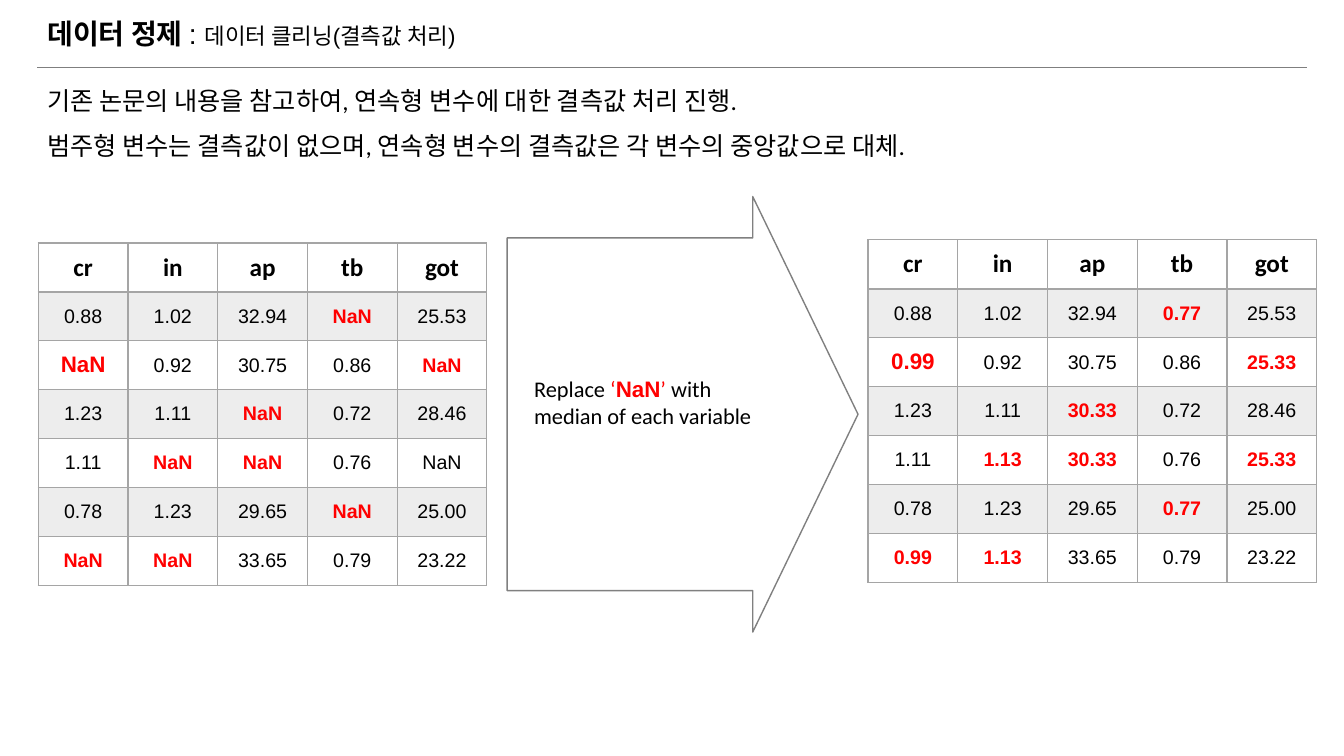
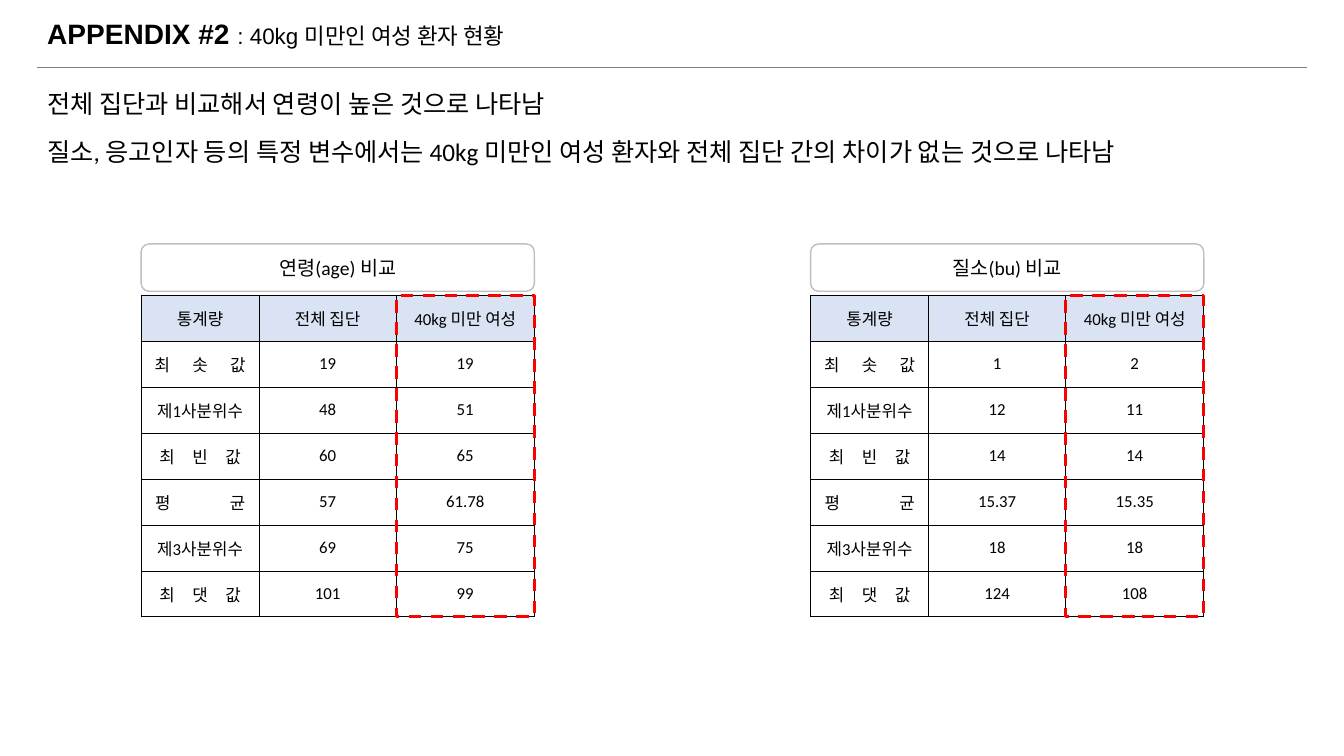
import pptx
import pptx.dml.color
import pptx.enum.dml
import pptx.enum.shapes
import pptx.enum.text
import pptx.oxml.ns
import pptx.util
from lxml import etree
from pptx.util import Inches

COLORS = {"ink": "000000", "rule": "7F7F7F", "grid": "A5A5A5", "band": "EDEDED",
          "alert": "FF0000", "arrow": "808080", "caption": "BFBFBF", "header": "DAE3F3"}
SHAPES = pptx.enum.shapes.MSO_SHAPE
CENTER = pptx.enum.text.PP_ALIGN.CENTER
MIDDLE = pptx.enum.text.MSO_ANCHOR.MIDDLE
LEFT, WIDTH = 0.37, 12.59
SPACE_WIDTH = 3.3  # points taken by one space in a 12 pt label


def color(name):
    return pptx.dml.color.RGBColor.from_string(COLORS[name])


class Composer:
    """Holds the deck's style and the slide being filled."""

    def __init__(self):
        self.deck = pptx.Presentation()
        self.deck.slide_width, self.deck.slide_height = Inches(13.33), Inches(7.5)
        self.page = None

    def style(self, span, size, font="Calibri", ink="ink", bold=False):
        span.font.size = pptx.util.Pt(size)
        span.font.name = font
        span.font.bold = bold
        span.font.color.rgb = color(ink)

    def spans(self, para, parts):
        """Each part is a text and its style; a lone newline breaks the line."""
        for text, look in parts:
            if text == "\n":
                para.add_line_break()
                continue
            span = para.add_run()
            span.text = text
            self.style(span, **look)

    def text_box(self, left, top, width, height):
        box = self.page.shapes.add_textbox(*map(Inches, (left, top, width, height)))
        box.text_frame.word_wrap = True
        return box.text_frame

    def new_page(self, title, lines, line_spacing=1.0):
        """Start a slide with its title, rule and introductory lines."""
        self.page = self.deck.slides.add_slide(self.deck.slide_layouts[6])
        rule = self.page.shapes.add_connector(
            pptx.enum.shapes.MSO_CONNECTOR.STRAIGHT,
            *map(Inches, (LEFT, 0.67, LEFT + WIDTH, 0.67)))
        rule.line.color.rgb = color("rule")
        rule.line.width = pptx.util.Pt(0.75)
        etree.SubElement(rule._element.spPr, pptx.oxml.ns.qn("a:effectLst"))

        frame = self.text_box(LEFT, 0.1, WIDTH, 0.5)
        frame.vertical_anchor = MIDDLE
        frame.paragraphs[0].line_spacing = 0.9
        self.spans(frame.paragraphs[0], title)

        frame = self.text_box(LEFT, 0.8, WIDTH, 1.01)
        frame.text = "\n".join(lines)
        for para in frame.paragraphs:
            para.space_before = pptx.util.Pt(10)
            para.line_spacing = line_spacing
            self.style(para.runs[0], 18)

    def outline(self, kind, left, top, width, height, line, points=1, dash=None):
        """Add an unfilled preset shape."""
        shape = self.page.shapes.add_shape(kind, *map(Inches, (left, top, width, height)))
        shape.shadow.inherit = False
        shape.fill.background()
        shape.line.color.rgb = color(line)
        shape.line.width = pptx.util.Pt(points)
        shape.line.dash_style = dash
        return shape

    def border(self, cell, side, line, points):
        props = cell._tc.get_or_add_tcPr()
        edge = etree.SubElement(props, pptx.oxml.ns.qn("a:ln" + side),
                                w=str(int(points * 12700)))
        fill = etree.SubElement(edge, pptx.oxml.ns.qn("a:solidFill"))
        etree.SubElement(fill, pptx.oxml.ns.qn("a:srgbClr"), val=COLORS[line])

    def table(self, left, top, height, widths, rows, line, points, fill, write,
              header_edge=None):
        """fill(row) names a colour or None; write(cell, row, column, text) sets text."""
        table = self.page.shapes.add_table(
            len(rows), len(widths),
            *map(Inches, (left, top, sum(widths), height))).table
        table.first_row = table.horz_banding = False
        for column, width in zip(table.columns, widths):
            column.width = Inches(width)
        for r, texts in enumerate(rows):
            table.rows[r].height = Inches(height / len(rows))
            for c, text in enumerate(texts):
                cell = table.cell(r, c)
                cell.vertical_anchor = MIDDLE
                for side in "LRTB":
                    heavy = header_edge and r == 0 and side == "B"
                    self.border(cell, side, line, header_edge if heavy else points)
                if fill(r):
                    cell.fill.solid()
                    cell.fill.fore_color.rgb = color(fill(r))
                else:
                    cell.fill.background()
                write(cell, r, c, text)
                cell.text_frame.paragraphs[0].alignment = CENTER

    def sample_table(self, left, top, rows, marked):
        """Patient values; marked cells are bold red."""
        def write(cell, r, c, text):
            cell.text = text
            span = cell.text_frame.paragraphs[0].runs[0]
            if r == 0:
                self.style(span, 18, bold=True)
            elif (r, c) in marked:
                self.style(span, 16 if (r, c) == (2, 0) else 14, "Arial", "alert", True)
            else:
                self.style(span, 14, "Arial")

        self.table(left, top, 3.4, [0.89] * 5, rows, "grid", 1,
                   lambda r: "band" if r % 2 else None, write, header_edge=2)

    def comparison(self, left, caption, values):
        """Caption, statistics table and dashed frame round the last column."""
        top, height, widths = 2.93, 3.19, [1.17, 1.36, 1.37]

        def write(cell, r, c, text):
            cell.margin_left = cell.margin_right = Inches(0.08)
            cell.margin_top = cell.margin_bottom = 0
            para = cell.text_frame.paragraphs[0]
            gap = STATISTICS[r - 1][1] if r and c == 0 else 0
            if not gap:
                para.text = text
                self.style(para.runs[0], 12)
                return
            # Letters spread out by widening the spaces between them
            for i, letter in enumerate(text):
                self.spans(para, [(letter, {"size": 12})])
                if i < len(text) - 1:
                    self.spans(para, [(" ", {"size": 12})])
                    para.runs[-1]._r.get_or_add_rPr().set(
                        "spc", str(round((gap - 1) * SPACE_WIDTH * 100)))

        rows = [("통계량", "전체 집단", "40kg 미만 여성")]
        rows += [(label, *pair) for (label, _), pair in zip(STATISTICS, values)]
        self.table(left, top, height, widths, rows, "ink", 0.5,
                   lambda r: None if r else "header", write)

        box = self.outline(SHAPES.ROUNDED_RECTANGLE, left, 2.42, sum(widths), 0.47, "caption")
        box.text_frame.text = caption
        box.text_frame.vertical_anchor = MIDDLE
        box.text_frame.paragraphs[0].alignment = CENTER
        self.style(box.text_frame.paragraphs[0].runs[0], 14)

        self.outline(SHAPES.RECTANGLE, left + sum(widths[:2]), top, widths[2], height,
                     "alert", 2.25, pptx.enum.dml.MSO_LINE.DASH)


# Data
SAMPLE = [
    ("cr", "in", "ap", "tb", "got"),
    ("0.88", "1.02", "32.94", "NaN", "25.53"),
    ("NaN", "0.92", "30.75", "0.86", "NaN"),
    ("1.23", "1.11", "NaN", "0.72", "28.46"),
    ("1.11", "NaN", "NaN", "0.76", "NaN"),
    ("0.78", "1.23", "29.65", "NaN", "25.00"),
    ("NaN", "NaN", "33.65", "0.79", "23.22"),
]
MEDIANS = ("0.99", "1.13", "30.33", "0.77", "25.33")
# Label and the number of space widths between its letters
STATISTICS = [("최솟값", 5), ("제1사분위수", 0), ("최빈값", 4),
              ("평균", 13), ("제3사분위수", 0), ("최댓값", 4)]
AGE = [("19", "19"), ("48", "51"), ("60", "65"), ("57", "61.78"), ("69", "75"), ("101", "99")]
NITROGEN = [("1", "2"), ("12", "11"), ("14", "14"), ("15.37", "15.35"),
            ("18", "18"), ("124", "108")]


def main():
    composer = Composer()
    heading = {"size": 20, "font": "Arial", "bold": True}
    subheading = {"size": 16, "font": "Arial"}

    # Slide 1: missing values replaced by medians
    composer.new_page(
        [("데이터 정제", heading), (" : ", {"size": 20, "font": "Arial"}),
         ("데이터 클리닝(결측값 처리)", subheading)],
        ["기존 논문의 내용을 참고하여, 연속형 변수에 대한 결측값 처리 진행.",
         "범주형 변수는 결측값이 없으며, 연속형 변수의 결측값은 각 변수의 중앙값으로 대체."])
    missing = {(r, c) for r, row in enumerate(SAMPLE)
               for c, text in enumerate(row) if text == "NaN"}
    filled = [[MEDIANS[c] if (r, c) in missing else text for c, text in enumerate(row)]
              for r, row in enumerate(SAMPLE)]
    composer.sample_table(0.38, 2.41, SAMPLE, missing - {(4, 4)})
    composer.sample_table(8.61, 2.38, filled, missing)

    arrow = composer.outline(SHAPES.RIGHT_ARROW, 5.03, 1.95, 3.48, 4.32, "arrow")
    arrow.adjustments[0], arrow.adjustments[1] = 0.81, 0.3
    plain, red = {"size": 16}, {"size": 16, "ink": "alert"}
    composer.spans(composer.text_box(5.2, 3.67, 2.64, 0.64).paragraphs[0], [
        ("Replace ", plain), ("‘", red), ("NaN", {**red, "font": "Arial", "bold": True}),
        ("’ ", red), ("with ", plain), ("\n", None), ("median of each variable", plain)])

    # Slide 2: women under 40 kg against the whole group
    composer.new_page(
        [("APPENDIX #2 ", heading), (": 40kg 미만인 여성 환자 현황", subheading)],
        ["전체 집단과 비교해서 연령이 높은 것으로 나타남",
         "질소, 응고인자 등의 특정 변수에서는 40kg 미만인 여성 환자와 "
         "전체 집단 간의 차이가 없는 것으로 나타남"],
        line_spacing=1.1)
    composer.comparison(1.4, "연령(age) 비교", AGE)
    composer.comparison(8.04, "질소(bu) 비교", NITROGEN)

    composer.deck.save("out.pptx")


if __name__ == "__main__":
    main()
